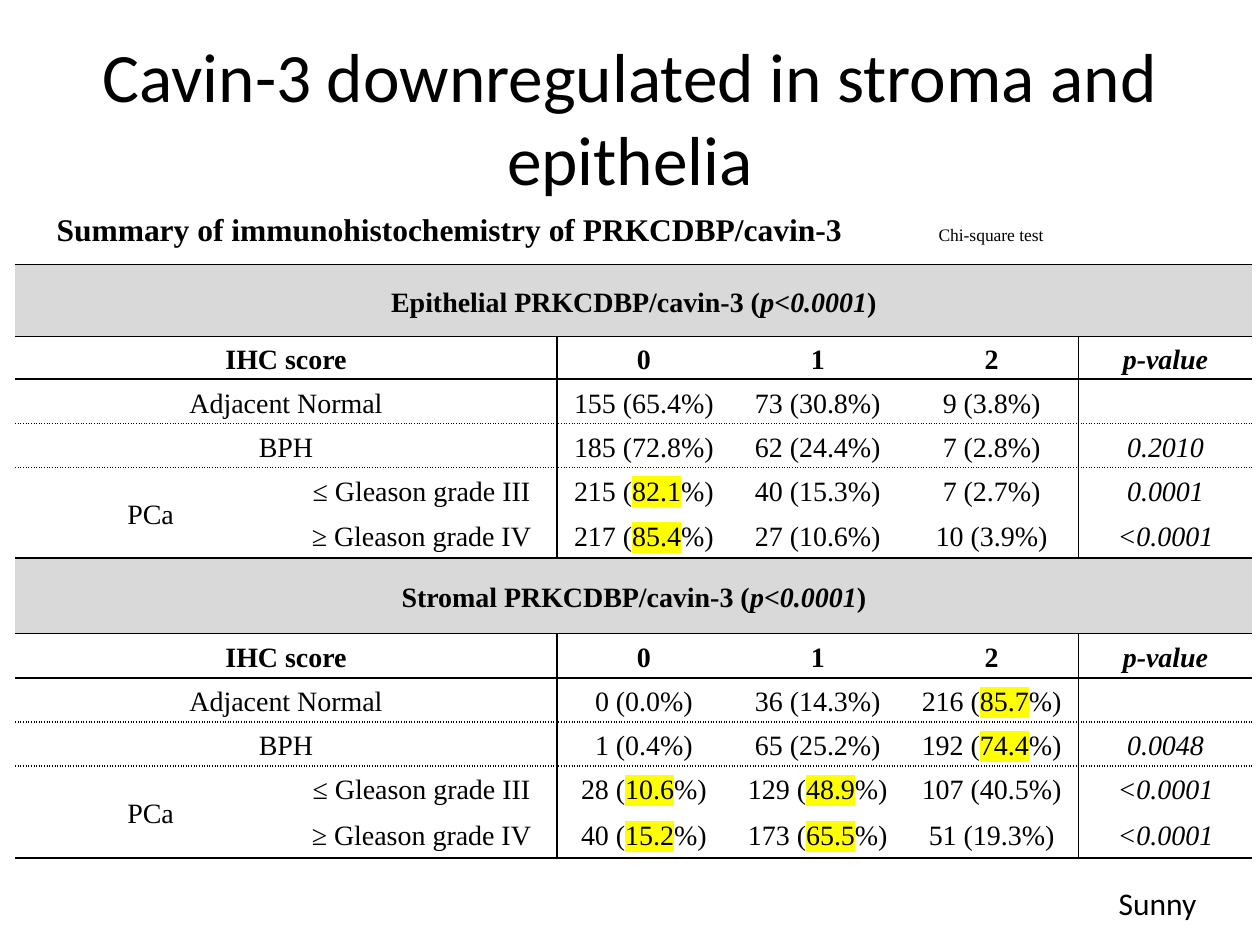
from lxml import etree
from pptx import Presentation
from pptx.dml.color import RGBColor
from pptx.enum import text as t
from pptx.oxml import ns
from pptx.util import Pt

PX = 9144
ROMAN = "Times New Roman"
BLACK = "000000"
COLS = [215, 215, 138, 138, 138, 138]
ROWS = [57, 34, 35, 35, 35, 37, 60, 35, 35, 35, 35, 38]
TOPS = ["solid", "solid", "solid", "sysDot", "sysDot", None, "solid"]
HEAD = ["IHC score", "", "0", "1", "2", "p-value"]
BLOCKS = [
    ("Epithelial", [
        ["Adjacent Normal", "", "155 (65.4%)", "73 (30.8%)", "9 (3.8%)", ""],
        ["BPH", "", "185 (72.8%)", "62 (24.4%)", "7 (2.8%)", "0.2010"],
        ["PCa", "≤ Gleason grade III", "215 (|82.1|%)", "40 (15.3%)", "7 (2.7%)", "0.0001"],
        ["", "≥ Gleason grade IV", "217 (|85.4|%)", "27 (10.6%)", "10 (3.9%)", "<0.0001"],
    ]),
    ("Stromal", [
        ["Adjacent Normal", "", "0 (0.0%)", "36 (14.3%)", "216 (|85.7|%)", ""],
        ["BPH", "", "1 (0.4%)", "65 (25.2%)", "192 (|74.4|%)", "0.0048"],
        ["PCa", "≤ Gleason grade III", "28 (|10.6|%)", "129 (|48.9|%)", "107 (40.5%)", "<0.0001"],
        ["", "≥ Gleason grade IV", "40 (|15.2|%)", "173 (|65.5|%)", "51 (19.3%)", "<0.0001"],
    ]),
]


def paint(fill, color):
    fill.solid()
    fill.fore_color.rgb = RGBColor.from_string(color)


def write(para, words, size=16, font=ROMAN, color=BLACK, bold=False, italic=False, mark=None):
    run = para.add_run()
    run.text = words
    face = run.font
    face.size, face.name, face.bold, face.italic = Pt(size), font, bold, italic
    paint(face.fill, color)
    if mark:
        glow = etree.Element(ns.qn("a:highlight"))
        etree.SubElement(glow, ns.qn("a:srgbClr"), val=mark)
        run._r.rPr.find(ns.qn("a:solidFill")).addnext(glow)


def split(para, words, accent, **fmt):
    for num, part in enumerate(words.split("|")):
        write(para, part, **{**fmt, **(accent if num % 2 else {})})


def border(cell, side, dash):
    props = cell._tc.get_or_add_tcPr()
    line = etree.SubElement(props, ns.qn("a:ln" + side), w=str(Pt(1)))
    if not dash:
        etree.SubElement(line, ns.qn("a:noFill"))
        return
    fill = etree.SubElement(line, ns.qn("a:solidFill"))
    etree.SubElement(fill, ns.qn("a:srgbClr"), val=BLACK)
    etree.SubElement(line, ns.qn("a:prstDash"), val=dash)


def style(cell, row, col):
    left = row > 0 and col in (2, 5)
    right = row > 0 and (col in (1, 4) or (col == 0 and row < 4))
    base = "solid" if (row, col) == (4, 0) else TOPS[row + 1]
    edges = {"L": left and "solid", "R": right and "solid", "T": TOPS[row], "B": base}
    for side, dash in edges.items():
        border(cell, side, dash)
    if row == 0:
        paint(cell.fill, "D9D9D9")
    else:
        cell.fill.background()
    cell.margin_left = cell.margin_right = 7 * PX
    cell.margin_top = cell.margin_bottom = 0
    cell.vertical_anchor = t.MSO_ANCHOR.MIDDLE


def block(table, top, name, data):
    band = [f"{name} PRKCDBP/cavin-3 (|p<0.0001|)"] + [""] * 5
    for row, line in enumerate([band, HEAD] + data):
        for col, words in enumerate(line):
            cell = table.cell(top + row, col)
            style(cell, row, col)
            if words:
                para = cell.text_frame.paragraphs[0]
                para.alignment = t.PP_ALIGN.CENTER
                para.line_spacing = 1.15
                accent = {"mark": "FFFF00"} if row else {"italic": True}
                split(para, words, accent, bold=row < 2, italic=col == 5)
    table.cell(top, 0).merge(table.cell(top, 5))
    for row in range(1, 4):
        table.cell(top + row, 0).merge(table.cell(top + row, 1))
    table.cell(top + 4, 0).merge(table.cell(top + 5, 0))


def grid(slide, x, y):
    frame = slide.shapes.add_table(len(ROWS), len(COLS), x * PX, y * PX,
                                   sum(COLS) * PX, sum(ROWS) * PX)
    table = frame.table
    table.first_row = table.horz_banding = False
    for col, wide in zip(table.columns, COLS):
        col.width = wide * PX
    for row, high in zip(table.rows, ROWS):
        row.height = high * PX
    for num, (name, data) in enumerate(BLOCKS):
        block(table, num * 6, name, data)


def title(slide, x, y, w, h):
    head = slide.shapes.title
    head.left, head.top, head.width, head.height = (v * PX for v in (x, y, w, h))
    frame = head.text_frame
    frame.vertical_anchor = t.MSO_ANCHOR.MIDDLE
    para = frame.paragraphs[0]
    para.alignment = t.PP_ALIGN.CENTER
    write(para, "Cavin-3 downregulated in stroma and epithelia", size=39.6, font="Calibri")


def label(slide, x, y, w, h, wrap=True):
    frame = slide.shapes.add_textbox(x * PX, y * PX, w * PX, h * PX).text_frame
    frame.word_wrap = wrap
    frame.auto_size = t.MSO_AUTO_SIZE.SHAPE_TO_FIT_TEXT
    return frame


def caption(slide, x, y, w, h):
    frame = label(slide, x, y, w, h)
    frame.vertical_anchor = t.MSO_ANCHOR.MIDDLE
    para = frame.paragraphs[0]
    write(para, "Summary of immunohistochemistry of PRKCDBP/cavin-3", size=18, bold=True)
    write(para, "\t\t", size=9, font="Arial")
    write(para, "Chi-square test", size=10)


def credit(slide, x, y, w, h):
    frame = label(slide, x, y, w, h, wrap=False)
    write(frame.paragraphs[0], "Sunny", size=18, font="Calibri")


def main():
    deck = Presentation()
    deck.slide_width, deck.slide_height = 1000 * PX, 750 * PX
    slide = deck.slides.add_slide(deck.slide_layouts[5])
    title(slide, 50, 30, 900, 125)
    grid(slide, 12, 210)
    caption(slide, 35, 162, 921, 40)
    credit(slide, 878, 697, 83, 40)
    deck.save("out.pptx")


if __name__ == "__main__":
    main()
